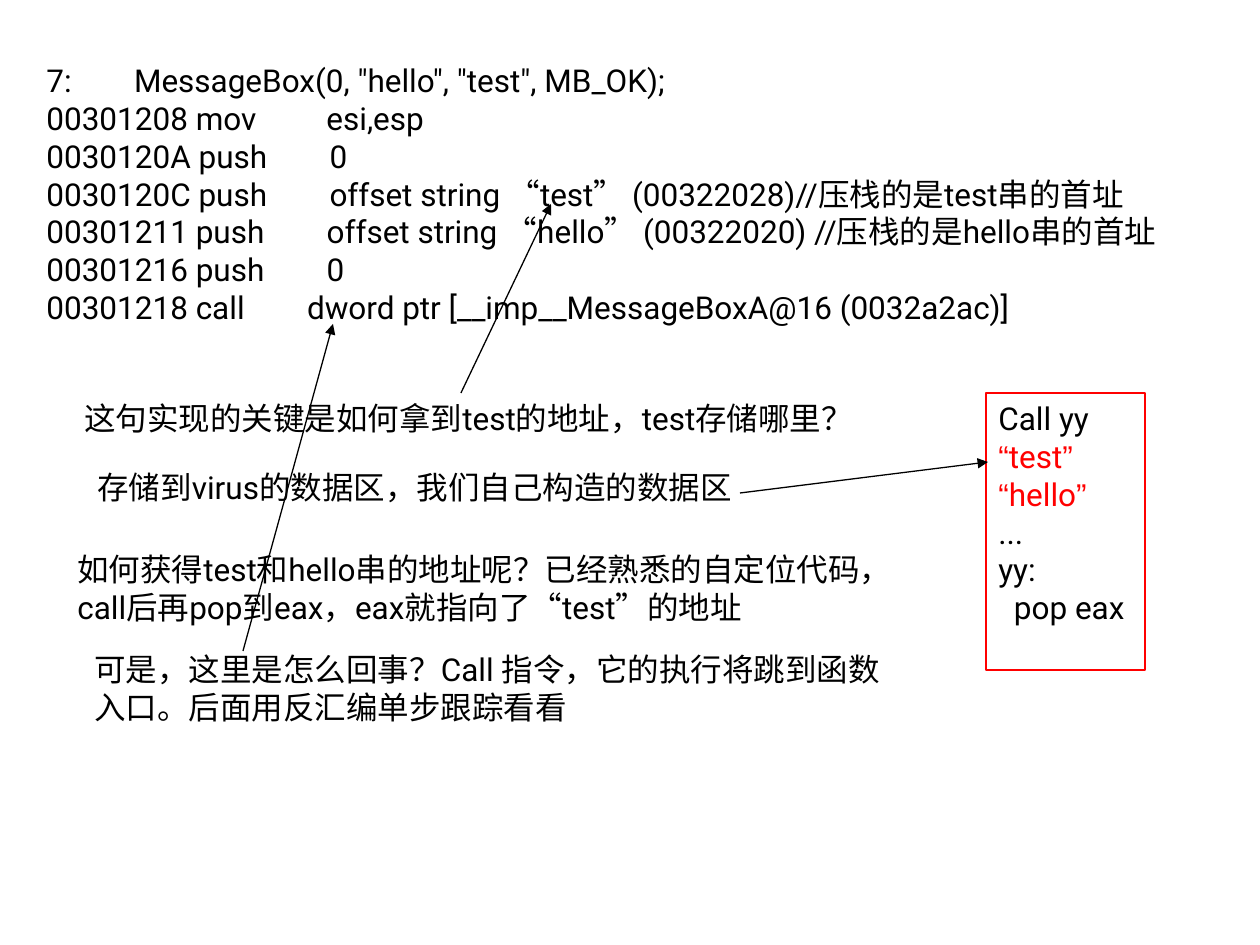
from itertools import groupby

from pptx import Presentation
from pptx.dml.color import RGBColor
from pptx.enum.shapes import MSO_CONNECTOR, MSO_SHAPE
from pptx.enum.text import MSO_ANCHOR, PP_ALIGN
from pptx.oxml.ns import qn
from pptx.util import Emu, Pt
from lxml.etree import SubElement

PX = 914400 // 126
COLORS = {"text": "000000", "accent": "FF0000"}

LISTING = [
    '7:        MessageBox(0, "hello", "test", MB_OK);',
    "00301208 mov         esi,esp",
    "0030120A push        0",
    "0030120C push        offset string “test” (00322028)//压栈的是test串的首址",
    "00301211 push        offset string “hello” (00322020) //压栈的是hello串的首址",
    "00301216 push        0",
    "00301218 call        dword ptr [__imp__MessageBoxA@16 (0032a2ac)]",
]
NOTES = [
    ((72, 393, 847, 50), "这句实现的关键是如何拿到test的地址，test存储哪里？"),
    ((85, 462, 714, 50), "存储到virus的数据区，我们自己构造的数据区"),
    ((65, 544, 845, 88),
     "如何获得test和hello串的地址呢？已经熟悉的自定位代码，call后再pop到eax，eax就指向了“test”的地址"),
    ((82, 644, 837, 88),
     "可是，这里是怎么回事？Call 指令，它的执行将跳到函数入口。后面用反汇编单步跟踪看看"),
]
VIRUS_LINES = ["Call yy", "“test”", "“hello”", "...", "yy:", "  pop eax"]
ARROWS = [((461, 393), (551, 204)), ((740, 493), (988, 462)), ((243, 651), (333, 324))]


def px(*lengths):
    return [Emu(length * PX) for length in lengths]


def color(name):
    return RGBColor.from_string(COLORS[name])


def write_lines(frame, lines, accented=()):
    frame.word_wrap = True
    frame.vertical_anchor = MSO_ANCHOR.TOP
    for index, line in enumerate(lines):
        paragraph = frame.paragraphs[0] if index == 0 else frame.add_paragraph()
        paragraph.alignment = PP_ALIGN.LEFT
        for is_quote, letters in groupby(line, lambda letter: letter in "“”"):
            run = paragraph.add_run()
            run.text = "".join(letters)
            run.font.size = Pt(18)
            run.font.name = "Arial" if is_quote else "Roboto"
            run.font.color.rgb = color("accent" if line in accented else "text")


def add_text(slide, box, lines):
    write_lines(slide.shapes.add_textbox(*px(*box)).text_frame, lines)


def add_virus_box(slide, box):
    virus = slide.shapes.add_shape(MSO_SHAPE.RECTANGLE, *px(*box))
    virus.shadow.inherit = False
    virus.fill.background()
    virus.line.color.rgb = color("accent")
    virus.line.width = Pt(0.75)
    write_lines(virus.text_frame, VIRUS_LINES, accented=VIRUS_LINES[1:3])


def add_arrow(slide, start, end):
    arrow = slide.shapes.add_connector(MSO_CONNECTOR.STRAIGHT, *px(*start, *end))
    arrow.line.color.rgb = color("text")
    arrow.line.width = Pt(0.75)
    SubElement(arrow.line._get_or_add_ln(), qn("a:tailEnd"), type="triangle")
    SubElement(arrow._element.spPr, qn("a:effectLst"))


def main():
    deck = Presentation()
    deck.slide_width, deck.slide_height = px(1260, 945)
    slide = deck.slides.add_slide(deck.slide_layouts[6])
    add_text(slide, (34, 55, 1181, 277), LISTING)
    for box, note in NOTES:
        add_text(slide, box, [note])
    add_virus_box(slide, (986, 393, 159, 277))
    for start, end in ARROWS:
        add_arrow(slide, start, end)
    deck.save("out.pptx")


if __name__ == "__main__":
    main()
